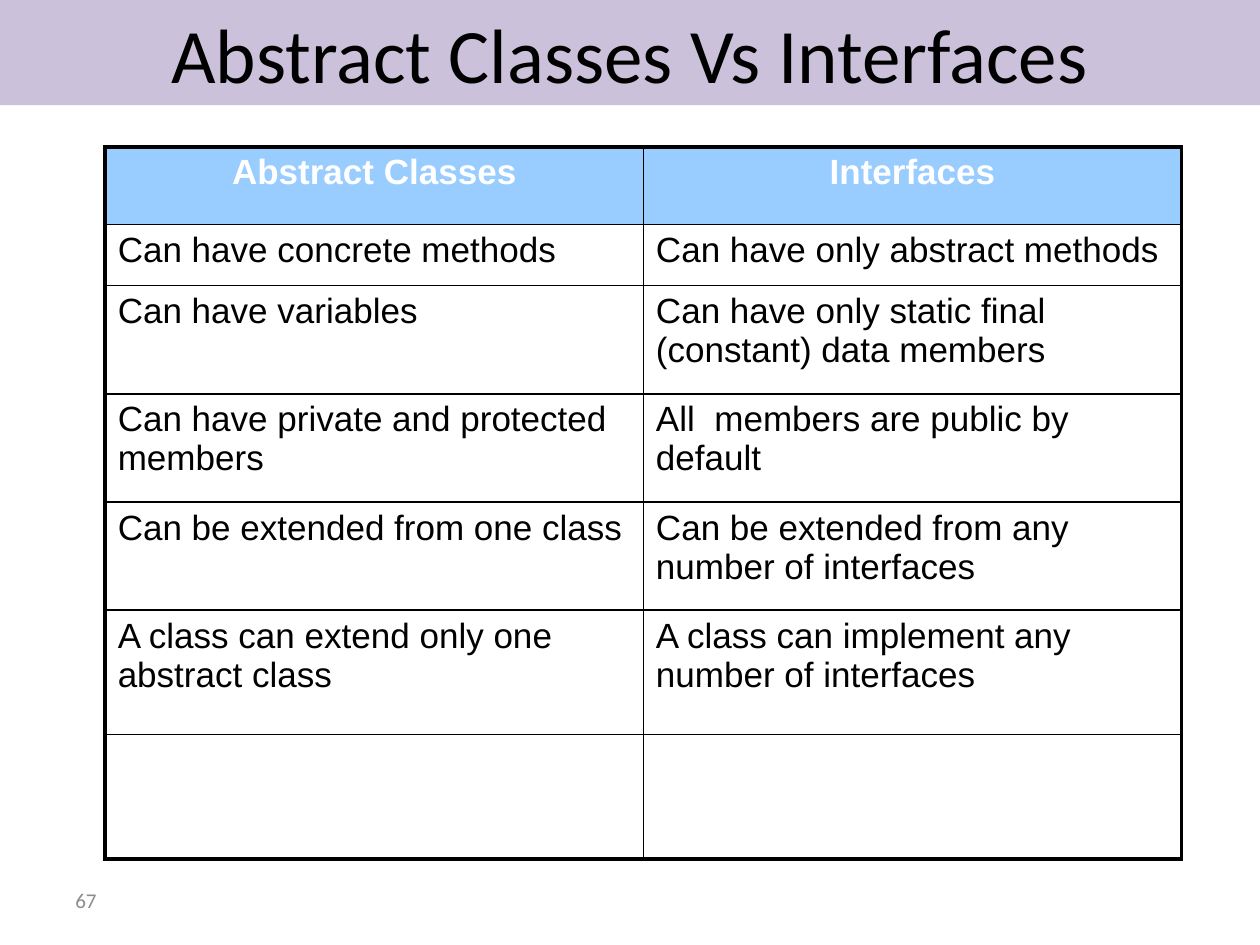
from dataclasses import dataclass

from lxml import etree
from pptx import Presentation
from pptx.dml.color import RGBColor
from pptx.enum.text import MSO_ANCHOR, MSO_AUTO_SIZE, PP_ALIGN
from pptx.oxml.ns import qn
from pptx.util import Cm, Pt

MIDDLE = MSO_ANCHOR.MIDDLE
NO_FIT = MSO_AUTO_SIZE.NONE
LEFT, CENTER = PP_ALIGN.LEFT, PP_ALIGN.CENTER
THIN, THICK = 1, 2.25
BLACK, WHITE = "000000", "FFFFFF"


@dataclass
class Style:
    """Look of a piece of text."""
    font: str
    size: float
    color: str = BLACK
    bold: bool = False
    align: PP_ALIGN = LEFT


@dataclass
class Row:
    """One line of the comparison, with its height in cm."""
    height: float
    texts: tuple[str, str]


TITLE = Style("Calibri", 44, align=CENTER)
NUMBER = Style("Calibri", 12, "8C8C8C")
HEAD = Style("Arial", 20, WHITE, True, CENTER)
BODY = Style("Arial", 20)

ROWS = [
    Row(1.57, ("Abstract Classes", "Interfaces")),
    Row(1.23, ("Can have concrete methods", "Can have only abstract methods")),
    Row(2.18, ("Can have variables",
               "Can have only static final (constant) data members")),
    Row(2.18, ("Can have private and protected members",
               "All  members are public by default")),
    Row(2.18, ("Can be extended from one class",
               "Can be extended from any number of interfaces")),
    Row(2.51, ("A class can extend only one abstract class",
               "A class can implement any number of interfaces")),
    Row(2.51, ("", "")),
]


def paint(target, color: str) -> None:
    """Fill a shape or cell with a solid colour."""
    target.fill.solid()
    target.fill.fore_color.rgb = RGBColor.from_string(color)


def write(frame, text: str, style: Style) -> None:
    """Put styled text in a frame."""
    frame.text = text
    for para in frame.paragraphs:
        para.alignment = style.align
        for run in para.runs:
            font = run.font
            font.name, font.size, font.bold = style.font, Pt(style.size), style.bold
            font.color.rgb = RGBColor.from_string(style.color)


def edge(cell, side: str, width: float) -> None:
    """Draw one black border of a cell."""
    line = etree.SubElement(cell._tc.get_or_add_tcPr(), qn(f"a:ln{side}"),
                            w=str(Pt(width)))
    fill = etree.SubElement(line, qn("a:solidFill"))
    etree.SubElement(fill, qn("a:srgbClr"), val=BLACK)


def add_grid(slide) -> None:
    """Build the comparison table with a thick outer frame."""
    height = sum(row.height for row in ROWS)
    table = slide.shapes.add_table(len(ROWS), 2, Cm(2.12), Cm(2.96),
                                   Cm(21.7), Cm(height)).table
    table.first_row = table.horz_banding = False
    last = len(ROWS) - 1
    for r, row in enumerate(ROWS):
        table.rows[r].height = Cm(row.height)
        for c, text in enumerate(row.texts):
            cell = table.cell(r, c)
            outer = {"L": c == 0, "R": c == 1, "T": r == 0, "B": r == last}
            for side, thick in outer.items():
                edge(cell, side, THICK if thick else THIN)
            paint(cell, "99CCFF" if r == 0 else WHITE)
            write(cell.text_frame, text, HEAD if r == 0 else BODY)


def add_title(slide) -> None:
    """Turn the title placeholder into a full-width band."""
    title = slide.shapes.title
    title.left, title.top, title.width, title.height = 0, 0, Cm(25.4), Cm(2.12)
    paint(title, "CCC1DA")
    frame = title.text_frame
    frame.auto_size, frame.vertical_anchor = NO_FIT, MIDDLE
    write(frame, "Abstract Classes Vs Interfaces", TITLE)


def add_number(slide) -> None:
    """Write the page number at the lower left."""
    frame = slide.shapes.add_textbox(Cm(1.27), Cm(17.65), Cm(5.93),
                                     Cm(1.01)).text_frame
    frame.word_wrap, frame.vertical_anchor = True, MIDDLE
    write(frame, "67", NUMBER)


deck = Presentation()
deck.slide_width, deck.slide_height = Cm(25.4), Cm(19.05)
slide = deck.slides.add_slide(deck.slide_layouts[5])
add_title(slide)
add_grid(slide)
add_number(slide)
deck.save("out.pptx")
